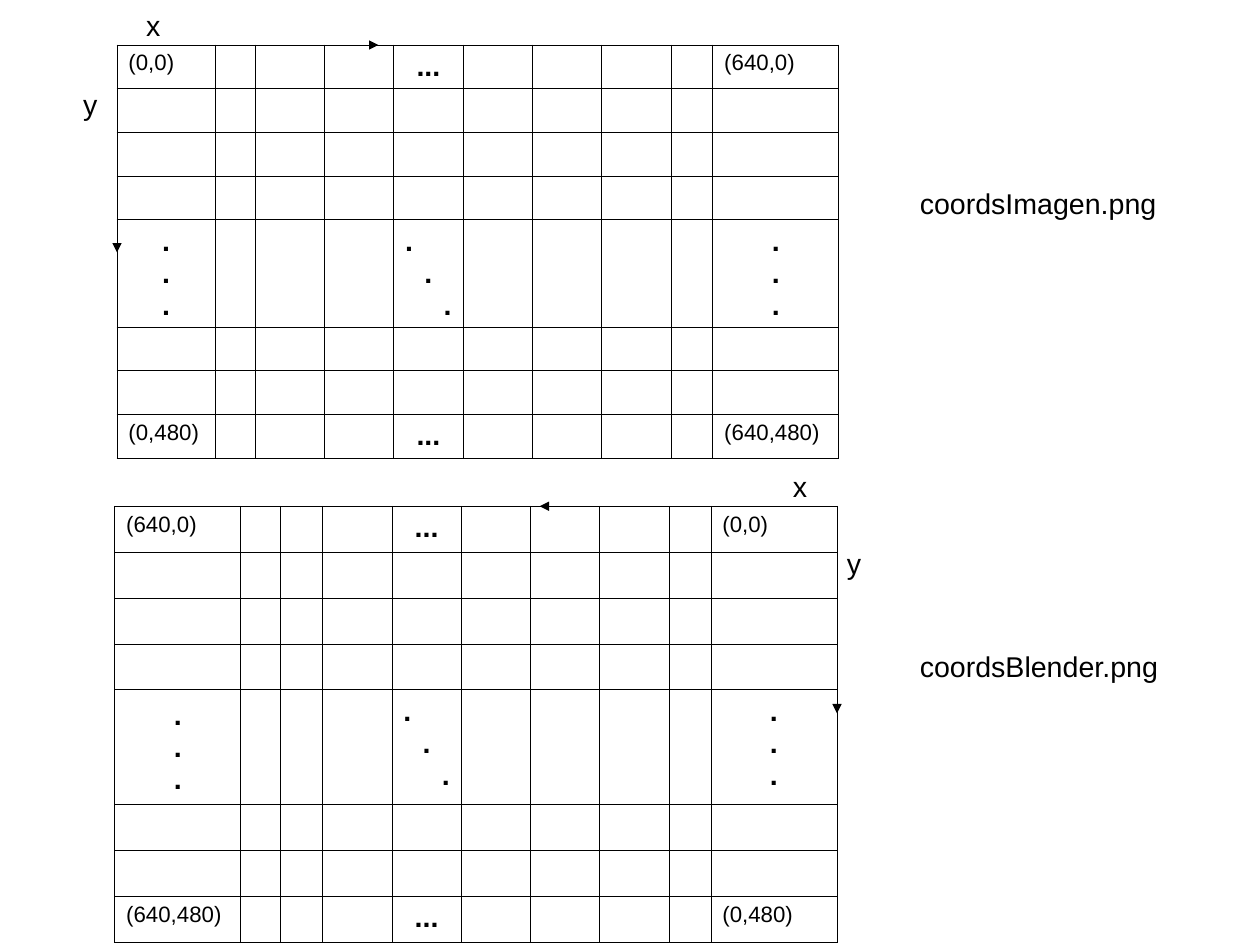
from lxml.etree import SubElement
from pptx import Presentation
from pptx.dml.color import RGBColor
from pptx.enum.shapes import MSO_CONNECTOR
from pptx.enum.text import MSO_ANCHOR, MSO_AUTO_SIZE, PP_ALIGN
from pptx.oxml.ns import qn
from pptx.util import Cm, Pt

COLORS = {"ink": "000000"}
FONT = "Arial"
LEFT, MID, RIGHT = PP_ALIGN.LEFT, PP_ALIGN.CENTER, PP_ALIGN.RIGHT
ROWS, COLS = 8, 10
DOT_ROW, DOT_COL = 4, 4


def write(frame, lines, size, bold=False, aligns=(LEFT,)):
    frame.text = "\n".join(lines)
    for para, align in zip(frame.paragraphs, aligns):
        para.alignment = align
        font = para.font
        font.name = FONT
        font.size = Pt(size)
        font.bold = bold
        font.color.rgb = RGBColor.from_string(COLORS["ink"])


def frame_cell(cell):
    props = cell._tc.get_or_add_tcPr()
    for side in ("lnL", "lnR", "lnT", "lnB"):
        line = SubElement(props, qn(f"a:{side}"), w=str(Pt(0.57)))
        fill = SubElement(line, qn("a:solidFill"))
        SubElement(fill, qn("a:srgbClr"), val=COLORS["ink"])
    cell.fill.background()


def add_grid(slide, left, top, widths, height, tall, corners):
    total = height * (ROWS - 1) + tall
    table = slide.shapes.add_table(
        ROWS, COLS, Cm(left), Cm(top), Cm(sum(widths)), Cm(total)
    ).table
    table.first_row = table.horz_banding = False
    for col, width in zip(table.columns, widths):
        col.width = Cm(width)
    for index, row in enumerate(table.rows):
        row.height = Cm(tall if index == DOT_ROW else height)
    for cell in table.iter_cells():
        frame_cell(cell)
        write(cell.text_frame, [""], 14)
    last = COLS - 1
    for row, pair in zip((0, ROWS - 1), corners):
        for col, word in zip((0, last), pair):
            write(table.cell(row, col).text_frame, [word], 14)
        write(table.cell(row, DOT_COL).text_frame, ["..."], 18, True, [MID])
    for col in (0, DOT_COL, last):
        aligns = (LEFT, MID, RIGHT) if col == DOT_COL else (MID,) * 3
        write(table.cell(DOT_ROW, col).text_frame, ["."] * 3, 18, True, aligns)
    table.cell(DOT_ROW, 0).vertical_anchor = MSO_ANCHOR.MIDDLE


def add_arrow(slide, start, end):
    arrow = slide.shapes.add_connector(
        MSO_CONNECTOR.STRAIGHT, *map(Cm, start + end)
    )
    arrow.line.color.rgb = RGBColor.from_string(COLORS["ink"])
    arrow.line.width = Pt(0.1)
    SubElement(arrow.line._get_or_add_ln(), qn("a:tailEnd"), type="triangle")
    SubElement(arrow._element.spPr, qn("a:effectLst"))


def add_label(slide, text, left, top, width=0.81, wrap=False):
    box = slide.shapes.add_textbox(Cm(left), Cm(top), Cm(width), Cm(0.97))
    frame = box.text_frame
    frame.word_wrap = wrap
    frame.auto_size = MSO_AUTO_SIZE.SHAPE_TO_FIT_TEXT
    write(frame, [text], 18)


def add_axes(slide, start, x_end, y_end, x_spot, y_spot):
    add_arrow(slide, start, (start[0], y_end))
    add_arrow(slide, start, (x_end, start[1]))
    add_label(slide, "x", *x_spot)
    add_label(slide, "y", *y_spot, wrap=True)


def main():
    deck = Presentation()
    deck.slide_width, deck.slide_height = Cm(28), Cm(21)
    slide = deck.slides.add_slide(deck.slide_layouts[6])

    widths = [2.18, 0.89] + [1.54] * 6 + [0.93, 2.8]
    add_grid(slide, 2.6, 1, widths, 0.97, 2.38,
             [("(0,0)", "(640,0)"), ("(0,480)", "(640,480)")])
    add_axes(slide, (2.6, 1), 8.41, 5.61, (3, 0.05), (1.6, 1.8))

    widths = [2.8, 0.89, 0.93] + [1.54] * 5 + [0.93, 2.8]
    add_grid(slide, 2.55, 11.25, widths, 1.02, 2.55,
             [("(640,0)", "(0,0)"), ("(640,480)", "(0,480)")])
    add_axes(slide, (18.6, 11.25), 11.99, 15.85, (17.37, 10.29), (18.57, 12))

    add_label(slide, "coordsImagen.png", 20.19, 4, 6)
    add_label(slide, "coordsBlender.png", 20.19, 14.3, 6)
    deck.save("out.pptx")


if __name__ == "__main__":
    main()
